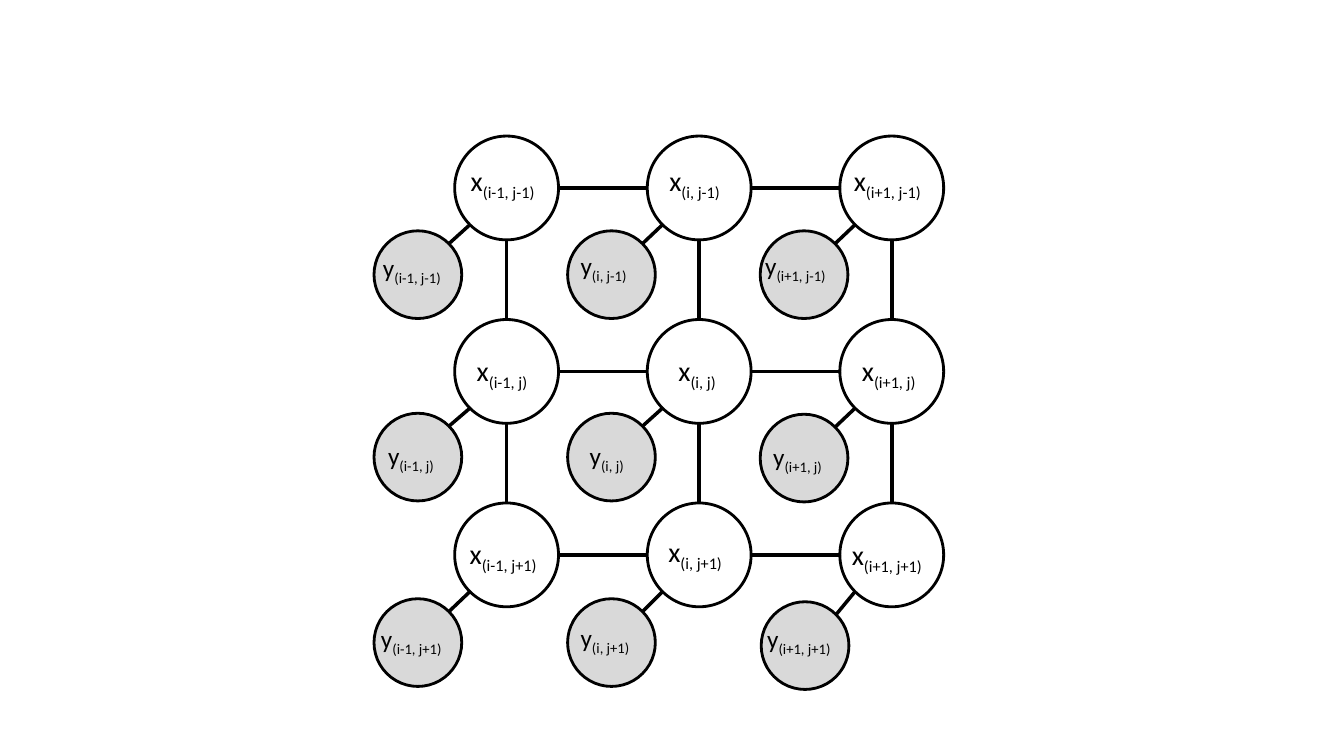
"""Build a slide with a 3 by 3 Markov random field of hidden and observed nodes."""
from lxml.etree import SubElement
from pptx import Presentation
from pptx.dml.color import RGBColor
from pptx.enum.shapes import MSO_CONNECTOR, MSO_SHAPE
from pptx.enum.text import MSO_AUTO_SIZE
from pptx.oxml.ns import qn
from pptx.util import Inches, Pt

BLACK = RGBColor(0x00, 0x00, 0x00)
GREY = RGBColor(0xD9, 0xD9, 0xD9)
FONT = "Calibri"

COLUMN_INDEXES = ["i-1", "i", "i+1"]
ROW_INDEXES = ["j-1", "j", "j+1"]

HIDDEN_SIZE = 1.03
HIDDEN_LEFT, HIDDEN_TOP = 4.51, 1.35
COLUMN_STEP, ROW_STEP = 1.91, 1.82

OBSERVED_SIZE = 0.87
OBSERVED_POSITIONS = [
    [(3.71, 2.29), (5.63, 2.29), (7.54, 2.29)],
    [(3.71, 4.1), (5.63, 4.1), (7.54, 4.11)],
    [(3.71, 5.94), (5.63, 5.94), (7.55, 5.97)],
]

# Label boxes: left, top, width
HIDDEN_LABELS = [
    [(4.57, 1.57, 0.92), (6.54, 1.57, 0.76), (8.37, 1.57, 0.95)],
    [(4.63, 3.46, 0.76), (6.63, 3.46, 0.61), (8.45, 3.46, 0.8)],
    [(4.56, 5.27, 0.95), (6.53, 5.25, 0.8), (8.35, 5.28, 0.99)],
]
OBSERVED_LABELS = [
    [(3.7, 2.45, 0.85), (5.66, 2.43, 0.71), (7.49, 2.43, 0.88)],
    [(3.75, 4.32, 0.71), (5.75, 4.32, 0.58), (7.57, 4.33, 0.75)],
    [(3.68, 6.13, 0.88), (5.66, 6.12, 0.75), (7.51, 6.13, 0.92)],
]


def add_node(slide, left, top, size, fill=None):
    shape = slide.shapes.add_shape(
        MSO_SHAPE.OVAL, Inches(left), Inches(top), Inches(size), Inches(size))
    shape.shadow.inherit = False
    if fill is None:
        shape.fill.background()
    else:
        shape.fill.solid()
        shape.fill.fore_color.rgb = fill
    shape.line.color.rgb = BLACK
    shape.line.width = Pt(2)


def add_edge(slide, start, end):
    connector = slide.shapes.add_connector(
        MSO_CONNECTOR.STRAIGHT, *[Inches(length) for length in (*start, *end)])
    connector.line.color.rgb = BLACK
    connector.line.width = Pt(2.5)
    SubElement(connector._element.spPr, qn("a:effectLst"))


def add_label(slide, box, height, letter, subscript, size):
    left, top, width = box
    text_box = slide.shapes.add_textbox(
        Inches(left), Inches(top), Inches(width), Inches(height))
    text_frame = text_box.text_frame
    text_frame.word_wrap = False
    text_frame.auto_size = MSO_AUTO_SIZE.SHAPE_TO_FIT_TEXT
    paragraph = text_frame.paragraphs[0]
    paragraph.text = letter
    subscript_run = paragraph.add_run()
    subscript_run.text = subscript
    for run in paragraph.runs:
        run.font.name = FONT
        run.font.size = Pt(size)
        run.font.color.rgb = BLACK
    subscript_run._r.get_or_add_rPr().set("baseline", "-25000")


def add_cell(slide, row, column):
    left = HIDDEN_LEFT + column * COLUMN_STEP
    top = HIDDEN_TOP + row * ROW_STEP
    middle_x, middle_y = left + HIDDEN_SIZE / 2, top + HIDDEN_SIZE / 2
    observed_left, observed_top = OBSERVED_POSITIONS[row][column]
    subscript = f"({COLUMN_INDEXES[column]}, {ROW_INDEXES[row]})"

    add_node(slide, left, top, HIDDEN_SIZE)
    if column < len(COLUMN_INDEXES) - 1:
        add_edge(slide, (left + HIDDEN_SIZE, middle_y), (left + COLUMN_STEP, middle_y))
    if row < len(ROW_INDEXES) - 1:
        add_edge(slide, (middle_x, top + HIDDEN_SIZE), (middle_x, top + ROW_STEP))
    add_node(slide, observed_left, observed_top, OBSERVED_SIZE, GREY)
    add_edge(slide, (observed_left + 0.74, observed_top + 0.13), (left + 0.15, top + 0.88))
    add_label(slide, HIDDEN_LABELS[row][column], 0.44, "x", subscript, 20)
    add_label(slide, OBSERVED_LABELS[row][column], 0.4, "y", subscript, 18)


def main():
    presentation = Presentation()
    presentation.slide_width = Inches(13.33)
    presentation.slide_height = Inches(7.5)
    slide = presentation.slides.add_slide(presentation.slide_layouts[6])
    for row in range(len(ROW_INDEXES)):
        for column in range(len(COLUMN_INDEXES)):
            add_cell(slide, row, column)
    presentation.save("out.pptx")


if __name__ == "__main__":
    main()
